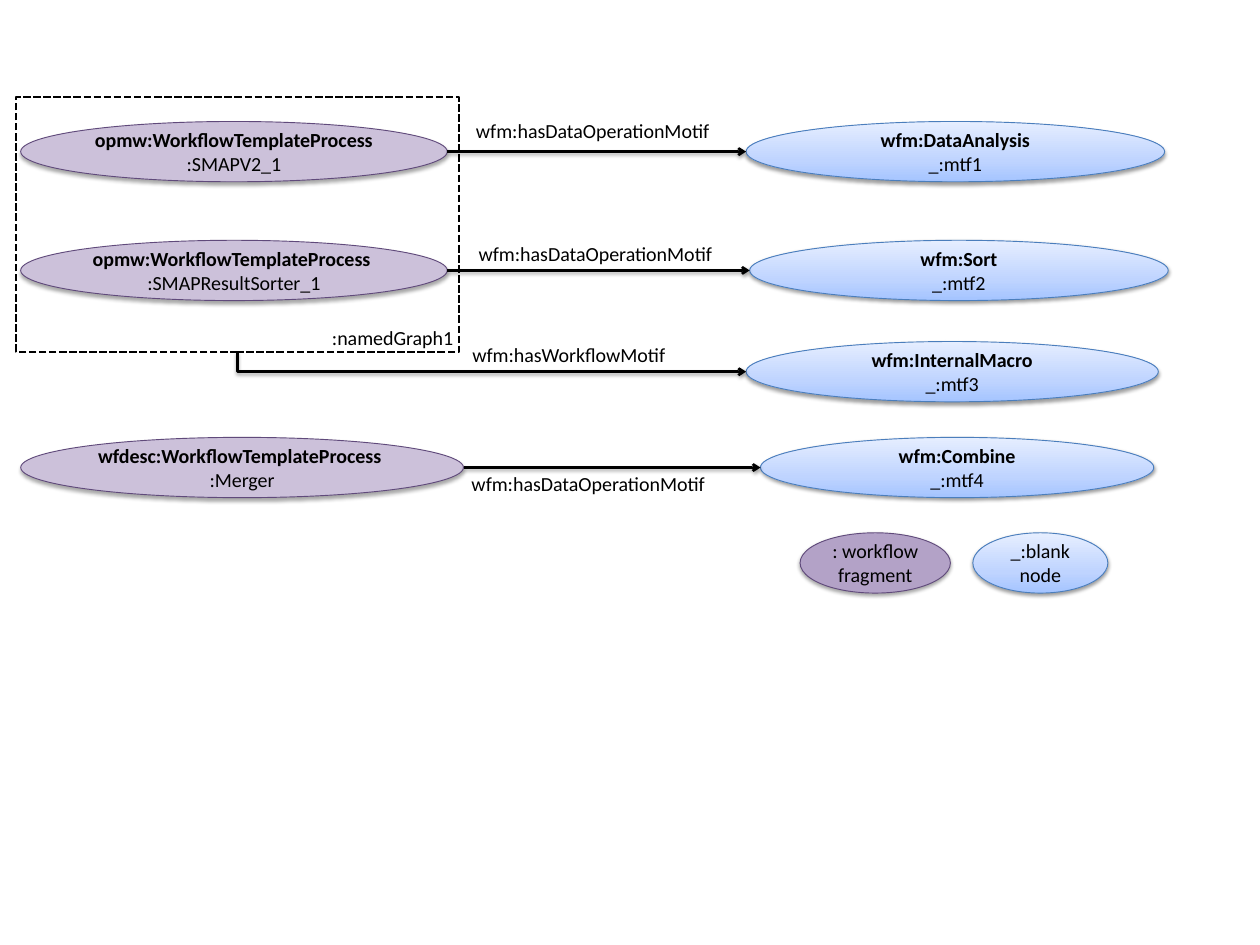
from copy import deepcopy
from lxml import etree
from pptx import Presentation
from pptx.dml.color import RGBColor
from pptx.enum import dml, shapes, text
from pptx.oxml import ns
from pptx.util import Emu, Inches, Pt

BLACK = RGBColor(0, 0, 0)
LILAC = RGBColor(0xCC, 0xC1, 0xDA)
PURPLE = RGBColor(0xB3, 0xA2, 0xC7)
PLUM = RGBColor(0x60, 0x4A, 0x7B)
BLUE = RGBColor(0x4B, 0x7E, 0xBC)
SKY = [(0, RGBColor(0xA4, 0xC4, 0xFF)), (0.35, RGBColor(0xBF, 0xD4, 0xFF)),
       (1, RGBColor(0xE6, 0xEE, 0xFF))]
COLUMNS, ROWS = 140, 105
NODE_ROWS = 6.7
LABEL_ROWS = 3.7

deck = Presentation()
deck.slide_width, deck.slide_height = Inches(14), Inches(10.5)
slide = deck.slides.add_slide(deck.slide_layouts[6])


def grid(*cells):
    """Turn alternating column and row counts into slide lengths."""
    steps = deck.slide_width / COLUMNS, deck.slide_height / ROWS
    return [Emu(round(cell * steps[i % 2])) for i, cell in enumerate(cells)]


def write(frame, paragraphs, align=None, anchor=None, wrap=True, size=16):
    """Fill a text frame with paragraphs of (words, bold) lines."""
    frame.word_wrap = wrap
    if anchor is not None:
        frame.vertical_anchor = anchor
    for i, lines in enumerate(paragraphs):
        paragraph = frame.paragraphs[0] if i == 0 else frame.add_paragraph()
        paragraph.alignment = align
        for j, (words, bold) in enumerate(lines):
            if j:
                paragraph.add_line_break()
            run = paragraph.add_run()
            run.text = words
            run.font.name, run.font.size, run.font.bold = "Calibri", Pt(size), bold
            run.font.color.rgb = BLACK


def cast_shadow(part, opacity=38, distance=1.6):
    """Give a shape or connector a soft shadow straight below it."""
    effects = etree.SubElement(part._element.spPr, ns.qn("a:effectLst"))
    shadow = etree.SubElement(effects, ns.qn("a:outerShdw"), blurRad=str(Pt(3.1)),
                              dist=str(Pt(distance)), dir="5400000", rotWithShape="0")
    tint = etree.SubElement(shadow, ns.qn("a:srgbClr"), val="000000")
    etree.SubElement(tint, ns.qn("a:alpha"), val=str(opacity * 1000))


def fill_sky(fill):
    """Fill with the three-stop blue gradient, darkest at the bottom."""
    fill.gradient()
    fill.gradient_angle = 90
    stops = fill._fill._gradFill.gsLst
    stops.append(deepcopy(stops[-1]))
    for stop, (position, color) in zip(fill.gradient_stops, SKY):
        stop.position, stop.color.rgb = position, color


def node(left, top, width, paragraphs, color=None):
    """Draw an oval node: plain when given a colour, otherwise sky blue."""
    oval = slide.shapes.add_shape(shapes.MSO_SHAPE.OVAL, *grid(left, top, width, NODE_ROWS))
    if color is None:
        fill_sky(oval.fill)
    else:
        oval.fill.solid()
        oval.fill.fore_color.rgb = color
    oval.line.color.rgb = PLUM if color else BLUE
    oval.line.width = Pt(0.75)
    cast_shadow(oval, *((35, 1.8) if color else ()))
    write(oval.text_frame, paragraphs, align=text.PP_ALIGN.CENTER,
          anchor=text.MSO_ANCHOR.MIDDLE)


def arrow(start, end, kind=shapes.MSO_CONNECTOR.STRAIGHT):
    """Draw a black arrow and return it."""
    link = slide.shapes.add_connector(kind, *grid(*start, *end))
    link.line.color.rgb, link.line.width = BLACK, Pt(2)
    etree.SubElement(link.line._get_or_add_ln(), ns.qn("a:tailEnd"), type="arrow")
    cast_shadow(link)
    return link


def label(left, top, width, words):
    """Place a one-line label."""
    box = slide.shapes.add_textbox(*grid(left, top, width, LABEL_ROWS))
    write(box.text_frame, [[(words, False)]])


def entry(title, name, split=False):
    """Pair a bold title with a name, on a new line or in a new paragraph."""
    lines = [(title, True), (name, False)]
    return [[line] for line in lines] if split else [lines]


def motif_row(top, process, motif, process_width, motif_box, label_box, left=2.3):
    """Link a process oval to its motif oval with a labelled arrow."""
    middle = top + NODE_ROWS / 2
    motif_left, motif_width = motif_box
    label_left, label_drop, label_width = label_box
    node(left, top, process_width, process, LILAC)
    node(motif_left, top, motif_width, motif)
    arrow((left + process_width, middle), (motif_left, middle))
    label(label_left, top + label_drop, label_width, "wfm:hasDataOperationMotif")


def named_graph(left, top, width, height):
    """Frame the named graph and link it to its workflow motif."""
    frame = slide.shapes.add_shape(shapes.MSO_SHAPE.RECTANGLE, *grid(left, top, width, height))
    frame.shadow.inherit = False
    frame.fill.background()
    frame.line.color.rgb, frame.line.width = BLACK, Pt(2)
    frame.line.dash_style = dml.MSO_LINE.SQUARE_DOT
    bottom, middle = top + height, left + width / 2
    motif_left, drop = 82.9, 2.2
    node(motif_left, bottom + drop - NODE_ROWS / 2, 45.8,
         entry("wfm:InternalMacro", "_:mtf3"))
    run = motif_left - middle
    x, y = middle + run / 2, bottom + drop / 2
    bend = arrow((x + drop / 2, y - run / 2), (x - drop / 2, y + run / 2),
                 shapes.MSO_CONNECTOR.ELBOW)
    bend._element.spPr.xfrm.set("rot", "16200000")
    bend._element.spPr.find(ns.qn("a:prstGeom")).set("prst", "bentConnector2")
    label(left + width + 0.5, bottom - 1.5, 40, "wfm:hasWorkflowMotif")
    label(left + 34.1, bottom - 3.4, 16, ":namedGraph1")


def legend(left, top):
    """Explain the two kinds of oval."""
    node(left, top, 16.7, [[(": workflow", False), ("fragment", False)]], PURPLE)
    node(left + 19.2, top, 15, [[("_:blank", False), ("node", False)]])


motif_row(13.5, entry("opmw:WorkflowTemplateProcess", ":SMAPV2_1"),
          entry("wfm:DataAnalysis", "_:mtf1"), 47.4, (82.9, 46.5), (51.9, -0.8, 31.7))
motif_row(26.7, entry("opmw:WorkflowTemplateProcess ", ":SMAPResultSorter_1"),
          entry("wfm:Sort", "_:mtf2", split=True), 47.4, (83.3, 46.5), (52.2, -0.3, 31.7))
motif_row(48.6, entry("wfdesc:WorkflowTemplateProcess ", ":Merger"),
          entry("wfm:Combine", "_:mtf4", split=True), 49.2, (84.5, 43.7), (51.4, 3.3, 33.1))
legend(88.9, 59.2)
named_graph(1.8, 10.8, 49.2, 28.3)
deck.save("out.pptx")
